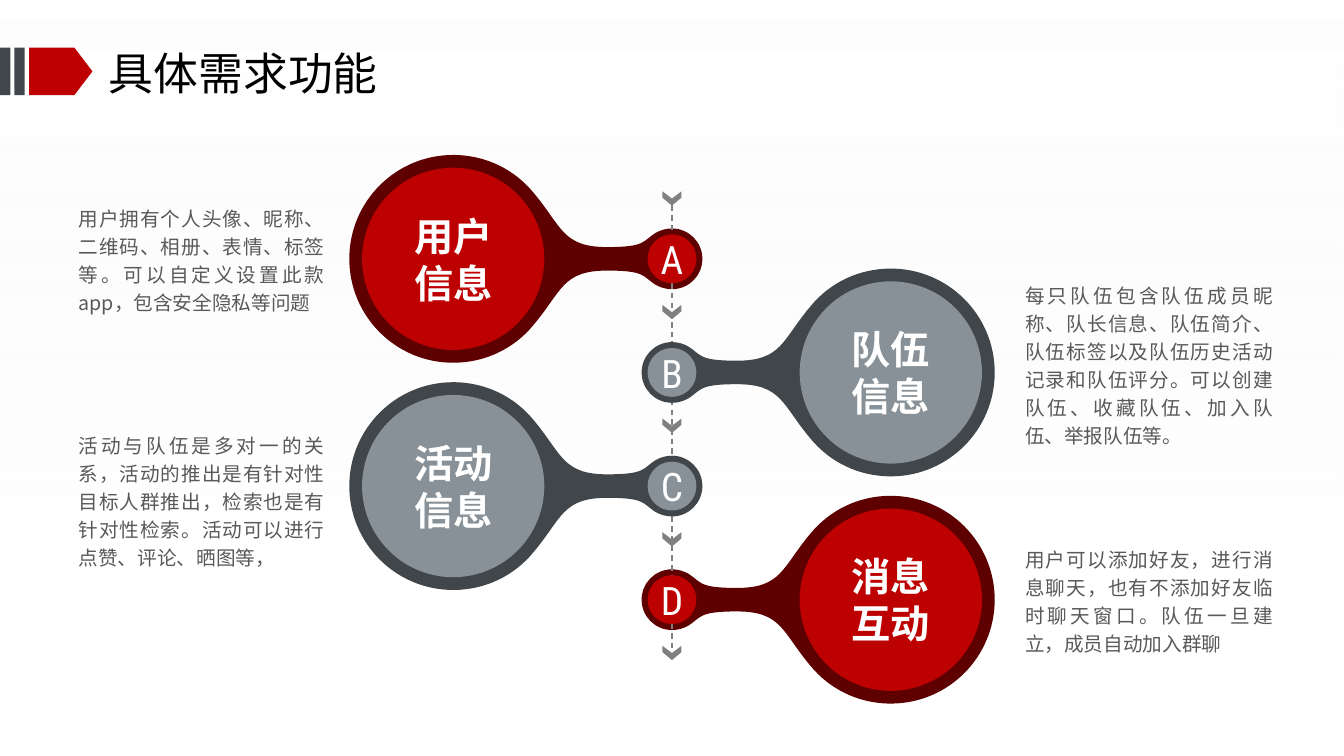
from dataclasses import dataclass
from typing import NamedTuple

from lxml.etree import SubElement as Sub
from pptx import Presentation
from pptx.dml.color import RGBColor as Rgb
from pptx.enum.dml import MSO_LINE as Dash
from pptx.enum.shapes import MSO_CONNECTOR as Link, MSO_SHAPE as Shape
from pptx.enum.text import MSO_ANCHOR as Anchor, PP_ALIGN as Align
from pptx.oxml.ns import qn
from pptx.util import Pt


@dataclass(frozen=True)
class Theme:
    """Colours, fonts and type sizes."""
    red: str = "BD0000"
    wine: str = "5E0000"
    slate: str = "40464A"
    steel: str = "879197"
    grey: str = "808080"
    ink: str = "595959"
    black: str = "000000"
    white: str = "FFFFFF"
    mist: str = "F2F2F2"
    han: str = "Noto Sans CJK SC"
    latin: str = "Roboto Condensed"
    title: int = 32
    label: int = 28
    body: int = 14


class Item(NamedTuple):
    """One topic: letter, side, colours, label, note and the rise of the note."""
    key: str
    side: int
    rim: str
    core: str
    label: str
    note: str
    rise: float


T = Theme()
WIDE, HIGH = 960, 540
AXIS, TOP, STEP = 480, 184.9, 81.15
REACH, BIG, SMALL = 156.3, 65.1, 17.4
HULL = [
    (-21.7, 0), (-21.7, -12), (-12, -21.7), (0, -21.7),
    (4.3, -21.7), (8.3, -20.5), (11.9, -18.4),
    (21.2, -12.4), (19, -8.4), (46.3, -8.4),
    (78.5, -8.4), (78.5, -23), (98.9, -47.2),
    (112.5, -63.8), (133, -74.2), (156.3, -74.2),
    (197.3, -74.2), (230.5, -41), (230.5, 0),
]
HEAD = [(-6.8, 0), (0, 5.2), (6.8, 0), (6.8, 4.5), (0, 10.2), (-6.8, 4.5)]
ITEMS = [
    Item("A", -1, T.wine, T.red, "用户信息",
         "用户拥有个人头像、昵称、二维码、相册、表情、标签等。"
         "可以自定义设置此款app，包含安全隐私等问题", 40.3),
    Item("B", 1, T.slate, T.steel, "队伍信息",
         "每只队伍包含队伍成员昵称、队长信息、队伍简介、队伍标签以及队伍历史活动"
         "记录和队伍评分。可以创建队伍、收藏队伍、加入队伍、举报队伍等。", 66.5),
    Item("C", -1, T.slate, T.steel, "活动信息",
         "活动与队伍是多对一的关系，活动的推出是有针对性目标人群推出，"
         "检索也是有针对性检索。活动可以进行点赞、评论、晒图等，", 40.3),
    Item("D", 1, T.wine, T.red, "消息互动",
         "用户可以添加好友，进行消息聊天，也有不添加好友临时聊天窗口。"
         "队伍一旦建立，成员自动加入群聊", 40.3),
]


def paint(shape, color):
    """Give a shape a plain fill, no line and no shadow."""
    shape.shadow.inherit = False
    shape.fill.solid()
    shape.fill.fore_color.rgb = Rgb.from_string(color)
    shape.line.fill.background()
    return shape


def write(shape, text, size, color, face=T.han, align=Align.LEFT,
          anchor=Anchor.TOP, bold=False, pitch=None):
    """Set one paragraph in a shape without insets."""
    frame = shape.text_frame
    frame.word_wrap = True
    frame.vertical_anchor = anchor
    frame.margin_left = frame.margin_right = 0
    frame.margin_top = frame.margin_bottom = 0
    para = frame.paragraphs[0]
    para.text = text
    para.alignment = align
    if pitch:
        para.line_spacing = Pt(pitch)
    para._element.get_or_add_pPr().set("hangingPunct", "0")
    font = para.font
    font.size, font.bold, font.name = Pt(size), bold, face
    font.color.rgb = Rgb.from_string(color)
    Sub(font._element, qn("a:ea"), typeface=face)


def block(slide, kind, x, y, w, h, color):
    """Add a painted preset shape."""
    return paint(slide.shapes.add_shape(kind, Pt(x), Pt(y), Pt(w), Pt(h)), color)


def disc(slide, x, y, r, color):
    """Add a circle around a centre."""
    return block(slide, Shape.OVAL, x - r, y - r, 2 * r, 2 * r, color)


def label(slide, x, y, w, h, *args, **style):
    """Add a text box."""
    write(slide.shapes.add_textbox(Pt(x), Pt(y), Pt(w), Pt(h)), *args, **style)


def trace(slide, dots, color):
    """Add a closed outline through points."""
    dots = [(Pt(x), Pt(y)) for x, y in dots]
    form = slide.shapes.build_freeform(*dots[0])
    form.add_line_segments(dots[1:])
    return paint(form.convert_to_shape(), color)


def bend(shape):
    """Turn each three straight segments into one cubic curve."""
    legs = list(shape._element.iter(qn("a:lnTo")))
    for i in range(0, len(legs), 3):
        first, *rest = legs[i:i + 3]
        first.tag = qn("a:cubicBezTo")
        for leg in rest:
            first.append(leg[0])
            leg.getparent().remove(leg)


def hull(slide, x, y, item):
    """Draw the outline that joins a small and a big circle."""
    ring = HULL + [(a, -b) for a, b in HULL[-2::-1]]
    dots = [(x + item.side * a, y + b) for a, b in ring]
    bend(trace(slide, dots, item.rim))


def spine(slide, x, y, step, count):
    """Draw the dashed axis and its arrowheads."""
    line = slide.shapes.add_connector(Link.STRAIGHT, Pt(x), Pt(y + 10), Pt(x),
                                      Pt(y + 6 + step * (count - 1)))
    line.line.width = Pt(1)
    line.line.dash_style = Dash.DASH
    line.line.color.rgb = Rgb.from_string(T.grey)
    Sub(line._element.spPr, qn("a:effectLst"))
    for i in range(count):
        trace(slide, [(x + a, y + i * step + b) for a, b in HEAD], T.grey)


def topic(slide, x, y, item):
    """Place the circles, the label and the note of one topic."""
    mid = x + item.side * REACH
    disc(slide, mid, y, BIG, item.core)
    write(disc(slide, x, y, SMALL, item.core), item.key, T.label, T.white,
          T.latin, Align.CENTER, Anchor.MIDDLE)
    label(slide, mid - 37, y - 34, 74, 68, item.label, T.label, T.white,
          align=Align.CENTER, anchor=Anchor.MIDDLE, bold=True, pitch=33.6)
    left, wide = (56.2, 175.7) if item.side < 0 else (732.2, 177)
    label(slide, left, y - item.rise, wide, 2 * item.rise, item.note, T.body,
          T.ink, align=Align.JUSTIFY, pitch=20)


def back(slide, w, h):
    """Lay a faint gradient over the slide."""
    veil = block(slide, Shape.RECTANGLE, 0, 0, w, h, T.white)
    veil.fill.gradient()
    veil.fill.gradient_angle = 270
    for stop, place, color in zip(veil.fill.gradient_stops, (0, 0.71),
                                  (T.white, T.mist)):
        stop.position = place
        stop.color.rgb = Rgb.from_string(color)
    for tone, alpha in zip(veil._element.iter(qn("a:srgbClr")), ("55000", "0")):
        Sub(tone, qn("a:alpha"), val=alpha)


def header(slide, x, y, h):
    """Place the marker and the title."""
    tag = block(slide, Shape.PENTAGON, x + 20.8, y, 45.2, h, T.red)
    tag.adjustments[0] = 0.38
    for dx in (0, 10.3):
        block(slide, Shape.RECTANGLE, x + dx, y, 7.4, h, T.slate)
    label(slide, x + 77.8, y - 2.2, 397, 39.6, "具体需求功能", T.title, T.black,
          anchor=Anchor.MIDDLE)


def main():
    """Build and save the slide."""
    deck = Presentation()
    deck.slide_width, deck.slide_height = Pt(WIDE), Pt(HIGH)
    slide = deck.slides.add_slide(deck.slide_layouts[6])
    back(slide, WIDE, HIGH)
    header(slide, 0, 34, 34)
    rows = [(TOP + i * STEP, item) for i, item in enumerate(ITEMS)]
    for y, item in rows[::3]:
        hull(slide, AXIS, y, item)
    spine(slide, AXIS, TOP - 48.2, STEP, len(ITEMS) + 1)
    for y, item in rows[1:3]:
        hull(slide, AXIS, y, item)
    for y, item in rows:
        topic(slide, AXIS, y, item)
    deck.save("out.pptx")


if __name__ == "__main__":
    main()
